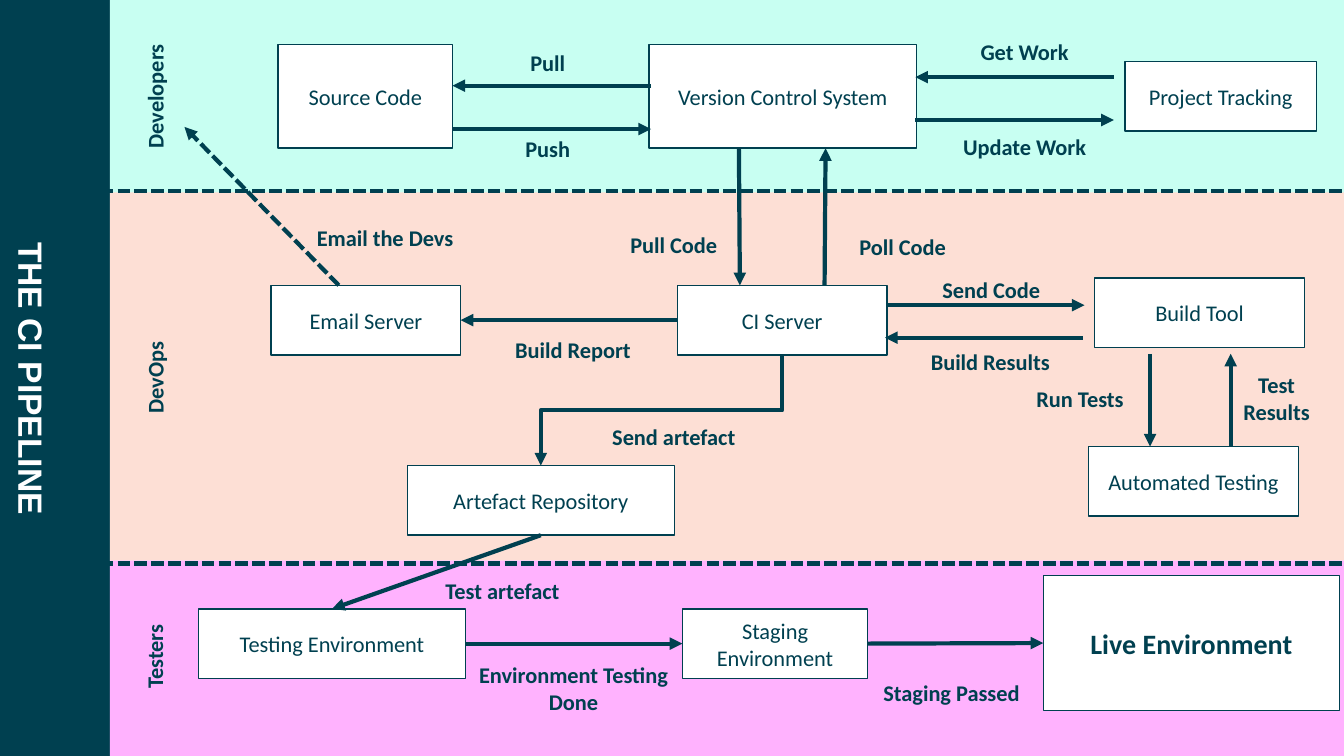
from dataclasses import dataclass

from lxml.etree import SubElement
from pptx import Presentation
from pptx.dml.color import RGBColor
from pptx.enum.dml import MSO_LINE
from pptx.enum.shapes import MSO_CONNECTOR, MSO_SHAPE
from pptx.enum.text import MSO_ANCHOR, MSO_AUTO_SIZE, PP_ALIGN
from pptx.oxml.ns import qn
from pptx.util import Pt


@dataclass(frozen=True)
class Theme:
    ink: RGBColor = RGBColor(0x00, 0x40, 0x50)
    white: RGBColor = RGBColor(0xFF, 0xFF, 0xFF)
    developers: RGBColor = RGBColor(0xC8, 0xFF, 0xF2)
    devops: RGBColor = RGBColor(0xFD, 0xDF, 0xD5)
    testers: RGBColor = RGBColor(0xFF, 0xB2, 0xFE)
    font: str = "Calibri"
    title_font: str = "Arial"
    text: int = 16
    large: int = 20
    title: int = 24


theme = Theme()


def write(sp, text, size=theme.text, bold=False, color=theme.ink, font=theme.font,
          anchor=MSO_ANCHOR.MIDDLE):
    tf = sp.text_frame
    tf.word_wrap = True
    tf.auto_size = MSO_AUTO_SIZE.NONE
    tf.vertical_anchor = anchor
    p = tf.paragraphs[0]
    p.alignment = PP_ALIGN.CENTER
    r = p.add_run()
    r.text = text
    r.font.size = Pt(size)
    r.font.bold = bold
    r.font.name = font
    r.font.color.rgb = color


def draw_line(x1, y1, x2, y2, dashed=False, arrow=True, kind=MSO_CONNECTOR.STRAIGHT):
    con = s.shapes.add_connector(kind, Pt(x1), Pt(y1), Pt(x2), Pt(y2))
    con.line.color.rgb = theme.ink
    con.line.width = Pt(3)
    if dashed:
        con.line.dash_style = MSO_LINE.SQUARE_DOT
    if arrow:
        SubElement(con.line._get_or_add_ln(), qn("a:tailEnd"), type="triangle")
    SubElement(con._element.spPr, qn("a:effectLst"))
    return con


prs = Presentation()
prs.slide_width, prs.slide_height = Pt(960), Pt(540)
s = prs.slides.add_slide(prs.slide_layouts[5])

areas = [
    (0, 0, 78.5, 540, theme.ink),
    (78.5, 400.3, 881.5, 139.7, theme.testers),
    (78.5, 135.4, 881.5, 264.9, theme.devops),
    (78.5, 0, 881.5, 137.5, theme.developers),
]
for x, y, w, h, color in areas:
    sp = s.shapes.add_shape(MSO_SHAPE.RECTANGLE, Pt(x), Pt(y), Pt(w), Pt(h))
    sp.shadow.inherit = False
    sp.fill.solid()
    sp.fill.fore_color.rgb = color
    sp.line.fill.background()

title = s.shapes.title
s.shapes._spTree.append(title._element)
title.left, title.top, title.width, title.height = Pt(-198.75), Pt(239.75), Pt(474.5), Pt(61.2)
title.rotation = 90
write(title, "THE CI PIPELINE", size=theme.title, bold=True, color=theme.white,
      font=theme.title_font, anchor=MSO_ANCHOR.BOTTOM)
tf = title.text_frame
tf.margin_left = tf.margin_right = tf.margin_top = tf.margin_bottom = 0
tf.paragraphs[0].line_spacing = 0.9

for y in (136.6, 402.5):
    draw_line(60, y, 960, y, dashed=True, arrow=False)

boxes = {}
for name, x, y, w, h in [
    ("Source Code", 198.7, 31.7, 124.6, 74.2),
    ("Version Control System", 463.7, 31.7, 190.8, 74.2),
    ("Project Tracking", 803.5, 43.9, 136.8, 49.7),
    ("Email Server", 193.7, 203.8, 135.4, 49.7),
    ("CI Server", 483.8, 203.8, 149.8, 49.7),
    ("Build Tool", 781.9, 198.7, 149.8, 49.7),
    ("Automated Testing", 777.6, 319, 149.8, 49.7),
    ("Artefact Repository", 290.9, 332.6, 190.8, 49.7),
    ("Testing Environment", 141.8, 434.9, 190.8, 49.7),
    ("Staging Environment", 487.4, 434.9, 132.5, 49.7),
    ("Live Environment", 745.2, 411.1, 211.7, 96.5),
]:
    sp = s.shapes.add_shape(MSO_SHAPE.RECTANGLE, Pt(x), Pt(y), Pt(w), Pt(h))
    sp.shadow.inherit = False
    sp.fill.solid()
    sp.fill.fore_color.rgb = theme.white
    sp.line.color.rgb = theme.ink
    sp.line.width = Pt(1)
    live = name == "Live Environment"
    write(sp, name, size=theme.large if live else theme.text, bold=live)
    boxes[name] = sp

for x1, y1, x2, y2 in [
    (323.3, 92.2, 465.1, 92.2),
    (465.1, 61.2, 323.3, 61.2),
    (653.8, 85.7, 795.6, 85.7),
    (795.6, 55.1, 653.8, 55.1),
    (527.8, 105.9, 528.5, 203.8),
    (589, 203.8, 589.7, 105.9),
    (632.9, 218, 774.7, 218),
    (773.3, 241.2, 632.2, 241.2),
    (821.5, 252.7, 821.5, 319),
    (879.1, 319, 879.1, 252.7),
]:
    draw_line(x1, y1, x2, y2)
draw_line(242, 203.8, 131.8, 90.7, dashed=True)

for start, start_side, end, end_side in [
    ("CI Server", 1, "Email Server", 3),
    ("Artefact Repository", 2, "Testing Environment", 0),
    ("Testing Environment", 3, "Staging Environment", 1),
    ("Staging Environment", 3, "Live Environment", 1),
]:
    con = draw_line(0, 0, 0, 0)
    con.begin_connect(boxes[start], start_side)
    con.end_connect(boxes[end], end_side)

con = draw_line(0, 0, 0, 0, kind=MSO_CONNECTOR.ELBOW)
con.begin_connect(boxes["CI Server"], 2)
con.end_connect(boxes["Artefact Repository"], 0)
mid_x, mid_y = (con.begin_x + con.end_x) // 2, (con.begin_y + con.end_y) // 2
half_run, half_drop = abs(con.end_x - con.begin_x) // 2, abs(con.end_y - con.begin_y) // 2
con.begin_x, con.end_x = mid_x - half_drop, mid_x + half_drop
con.begin_y, con.end_y = mid_y - half_run, mid_y + half_run
con._element.spPr.find(qn("a:xfrm")).set("rot", "5400000")

for text, x, y, w, h, turn in [
    ("Developers", 60.5, 43.9, 100, 49.7, 270),
    ("DevOps", 60.5, 244.8, 100, 49.7, 270),
    ("Testers", 61.9, 444.2, 96.5, 49.7, 270),
    ("Push", 329, 92.2, 124.6, 27.4, 0),
    ("Pull", 329, 31, 124.6, 27.4, 0),
    ("Update Work", 669.6, 90.7, 124.6, 27.4, 0),
    ("Get Work", 669.6, 23, 124.6, 27.4, 0),
    ("Pull Code", 419, 161.3, 124.6, 27.4, 0),
    ("Poll Code", 582.5, 162.7, 124.6, 27.4, 0),
    ("Send Code", 645.8, 193, 124.6, 27.4, 0),
    ("Run Tests", 709.2, 270.7, 124.6, 27.4, 0),
    ("Test Results", 871.9, 270.7, 79.9, 27.4, 0),
    ("Build Results", 644.4, 243.4, 126, 29.5, 0),
    ("Build Report", 346.3, 234.7, 126, 29.5, 0),
    ("Email the Devs", 203.8, 151.9, 142.6, 35.3, 0),
    ("Send artefact", 418.3, 297.4, 126, 29.5, 0),
    ("Test artefact", 295.9, 406.8, 126, 29.5, 0),
    ("Environment Testing Done", 327.6, 472.3, 164.2, 38.9, 0),
    ("Staging Passed", 622.8, 475.2, 113.8, 38.9, 0),
]:
    sp = s.shapes.add_textbox(Pt(x), Pt(y), Pt(w), Pt(h))
    sp.rotation = turn
    write(sp, text, bold=True)

prs.save("out.pptx")
